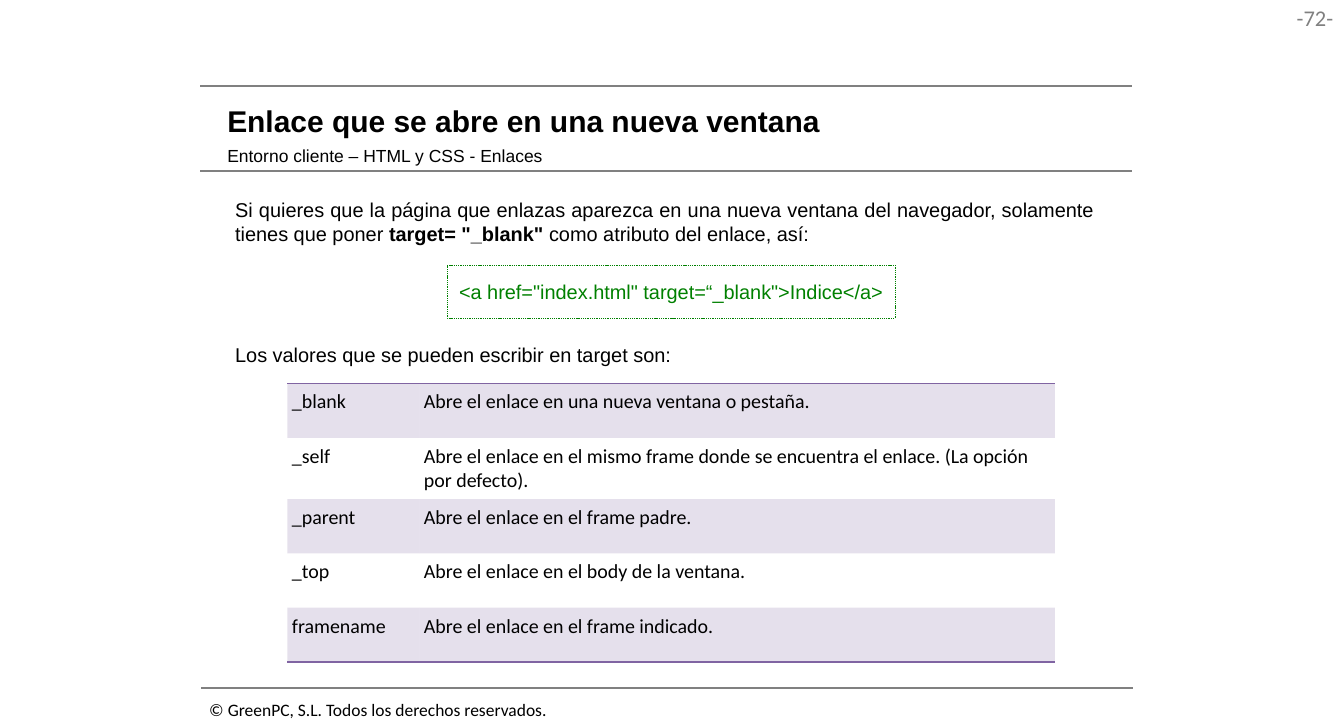
from dataclasses import dataclass

import pptx
import pptx.dml.color
import pptx.enum.dml
import pptx.enum.shapes
import pptx.enum.text
import pptx.oxml
import pptx.oxml.ns
import pptx.util
from pptx.enum.text import MSO_ANCHOR, PP_ALIGN

SLIDE_WIDTH = pptx.util.Inches(14.96)
SLIDE_HEIGHT = pptx.util.Inches(8.07)
COLORS = {"text": "000000", "muted": "808080", "code": "008000",
          "paper": "FFFFFF", "accent": "8064A2"}
PLAIN_TABLE_STYLE = "{2D5ABB26-0587-4C30-8999-92F81FD0307C}"
BAND_OPACITY = 20
HEADING_INSETS = (0.13, 0.07)
CELL_INSETS = (0.05, 0.07)


@dataclass(frozen=True)
class Box:
    """A rectangle in percent of the slide's width and height."""
    left: float
    top: float
    width: float
    height: float

    def lengths(self) -> tuple[int, int, int, int]:
        return (across(self.left), down(self.top),
                across(self.width), down(self.height))


@dataclass(frozen=True)
class Rule:
    left: float
    top: float


@dataclass(frozen=True)
class TargetValue:
    name: str
    meaning: str


RULE_WIDTH = 69.32
RULES = [Rule(14.91, 11.9), Rule(14.91, 23.54), Rule(14.97, 94.92)]

PAGE_NUMBER = Box(94.45, 0, 5.48, 5.08)
COPYRIGHT = Box(14.91, 95.79, 26.67, 4.21)
TITLE = Box(16.04, 13.26, 67.65, 6.69)
SUBTITLE = Box(16.04, 19.21, 64.51, 4.58)
EXPLANATION = Box(16.84, 26.64, 65.24, 24.66)
CODE = Box(33.29, 36.56, 33.29, 7.31)
TABLE = Box(21.39, 52.91, 57.09, 38.41)
NAME_SHARE = 0.172
TWO_LINE_SHARE = 0.22
TWO_LINE_ROW = 1

TARGET_VALUES = [
    TargetValue("_blank", "Abre el enlace en una nueva ventana o pestaña."),
    TargetValue("_self", "Abre el enlace en el mismo frame donde se encuentra "
                         "el enlace. (La opción por defecto)."),
    TargetValue("_parent", "Abre el enlace en el frame padre."),
    TargetValue("_top", "Abre el enlace en el body de la ventana."),
    TargetValue("framename", "Abre el enlace en el frame indicado."),
]


def across(percent: float) -> int:
    return round(SLIDE_WIDTH * percent / 100)


def down(percent: float) -> int:
    return round(SLIDE_HEIGHT * percent / 100)


def color(name: str) -> pptx.dml.color.RGBColor:
    return pptx.dml.color.RGBColor.from_string(COLORS[name])


def write(frame, text: str, *, size: float = 16, font: str = "Arial",
          ink: str = "text", bold: bool = False, align=PP_ALIGN.LEFT,
          anchor=MSO_ANCHOR.TOP, insets: tuple[float, float] = (0.1, 0.05),
          wrap: bool = True, gap: float = 0) -> None:
    """Fill a frame: newlines part paragraphs, ** marks bold, gap is in points."""
    frame.word_wrap = wrap
    frame.vertical_anchor = anchor
    frame.margin_left = frame.margin_right = pptx.util.Inches(insets[0])
    frame.margin_top = frame.margin_bottom = pptx.util.Inches(insets[1])
    for index, line in enumerate(text.split("\n")):
        paragraph = frame.add_paragraph() if index else frame.paragraphs[0]
        paragraph.alignment = align
        if index:
            paragraph.space_before = pptx.util.Pt(gap)
        for part, words in enumerate(line.split("**")):
            run = paragraph.add_run()
            run.text = words
            run.font.name = font
            run.font.size = pptx.util.Pt(size)
            run.font.bold = bold or part % 2 == 1
            run.font.color.rgb = color(ink)


def add_text(slide, box: Box, text: str, **text_format) -> None:
    write(slide.shapes.add_textbox(*box.lengths()).text_frame, text, **text_format)


def add_rule(slide, rule: Rule) -> None:
    left, top = across(rule.left), down(rule.top)
    connector = slide.shapes.add_connector(
        pptx.enum.shapes.MSO_CONNECTOR.STRAIGHT,
        left, top, left + across(RULE_WIDTH), top)
    connector.line.color.rgb = color("muted")
    connector.line.width = pptx.util.Pt(1.5)
    properties = connector._element.spPr
    properties.append(pptx.oxml.parse_xml(
        f"<a:effectLst {pptx.oxml.ns.nsdecls('a')}/>"))


def add_title(slide, text: str) -> None:
    title = slide.shapes.title
    title.left, title.top, title.width, title.height = TITLE.lengths()
    write(title.text_frame, text, size=24, bold=True,
          anchor=MSO_ANCHOR.MIDDLE, insets=HEADING_INSETS)


def add_code(slide, text: str) -> None:
    shape = slide.shapes.add_shape(
        pptx.enum.shapes.MSO_SHAPE.RECTANGLE, *CODE.lengths())
    shape.shadow.inherit = False
    shape.fill.solid()
    shape.fill.fore_color.rgb = color("paper")
    shape.line.color.rgb = color("code")
    shape.line.width = pptx.util.Pt(0.25)
    shape.line.dash_style = pptx.enum.dml.MSO_LINE.DASH
    write(shape.text_frame, text, ink="code", align=PP_ALIGN.CENTER,
          insets=(0.1, 0.16))


def fill_band(cell) -> None:
    cell.fill.solid()
    cell.fill.fore_color.rgb = color("accent")
    swatch = cell._tc.tcPr.find(f".//{pptx.oxml.ns.qn('a:srgbClr')}")
    swatch.append(pptx.oxml.parse_xml(
        f"<a:alpha {pptx.oxml.ns.nsdecls('a')} val=\"{BAND_OPACITY * 1000}\"/>"))


def add_border(cell, side: str) -> None:
    """Draw the top (T) or bottom (B) edge of a cell."""
    cell._tc.get_or_add_tcPr().insert(0, pptx.oxml.parse_xml(
        f"<a:ln{side} {pptx.oxml.ns.nsdecls('a')} w=\"{pptx.util.Pt(1)}\">"
        f"<a:solidFill><a:srgbClr val=\"{COLORS['accent']}\"/></a:solidFill>"
        f"</a:ln{side}>"))


def add_target_table(slide) -> None:
    last = len(TARGET_VALUES) - 1
    left, top, width, height = TABLE.lengths()
    table = slide.shapes.add_table(
        last + 1, 2, left, top, width, height).table
    table.first_row = table.horz_banding = False
    style = table._tbl.tblPr.find(pptx.oxml.ns.qn("a:tableStyleId"))
    style.text = PLAIN_TABLE_STYLE
    table.columns[0].width = round(width * NAME_SHARE)
    table.columns[1].width = width - table.columns[0].width
    for index, value in enumerate(TARGET_VALUES):
        share = (TWO_LINE_SHARE if index == TWO_LINE_ROW
                 else (1 - TWO_LINE_SHARE) / last)
        table.rows[index].height = round(height * share)
        for cell, text in zip(table.rows[index].cells, (value.name, value.meaning)):
            write(cell.text_frame, text, font="Calibri")
            cell.margin_left = cell.margin_right = pptx.util.Inches(CELL_INSETS[0])
            cell.margin_top = cell.margin_bottom = pptx.util.Inches(CELL_INSETS[1])
            cell.vertical_anchor = MSO_ANCHOR.TOP
            if index % 2 == 0:
                fill_band(cell)
            else:
                cell.fill.background()
            if index == 0:
                add_border(cell, "T")
            if index == last:
                add_border(cell, "B")


def main() -> None:
    presentation = pptx.Presentation()
    presentation.slide_width = SLIDE_WIDTH
    presentation.slide_height = SLIDE_HEIGHT
    slide = presentation.slides.add_slide(presentation.slide_layouts[5])
    add_text(slide, PAGE_NUMBER, "-72-", size=18, font="Calibri", ink="muted",
             align=PP_ALIGN.RIGHT, insets=(0.11, 0.05))
    for rule in RULES:
        add_rule(slide, rule)
    add_text(slide, COPYRIGHT, "© GreenPC, S.L. Todos los derechos reservados.",
             size=14, font="Calibri", wrap=False)
    add_title(slide, "Enlace que se abre en una nueva ventana")
    add_text(slide, SUBTITLE, "Entorno cliente – HTML y CSS - Enlaces", size=14,
             anchor=MSO_ANCHOR.MIDDLE, insets=HEADING_INSETS)
    add_text(slide, EXPLANATION,
             "Si quieres que la página que enlazas aparezca en una nueva ventana "
             "del navegador, solamente tienes que poner **target= \"_blank\"** "
             "como atributo del enlace, así:\n"
             "Los valores que se pueden escribir en target son:",
             align=PP_ALIGN.JUSTIFY, gap=78)
    add_code(slide, "<a href=\"index.html\" target=“_blank\">Indice</a>")
    add_target_table(slide)
    presentation.save("out.pptx")


if __name__ == "__main__":
    main()
